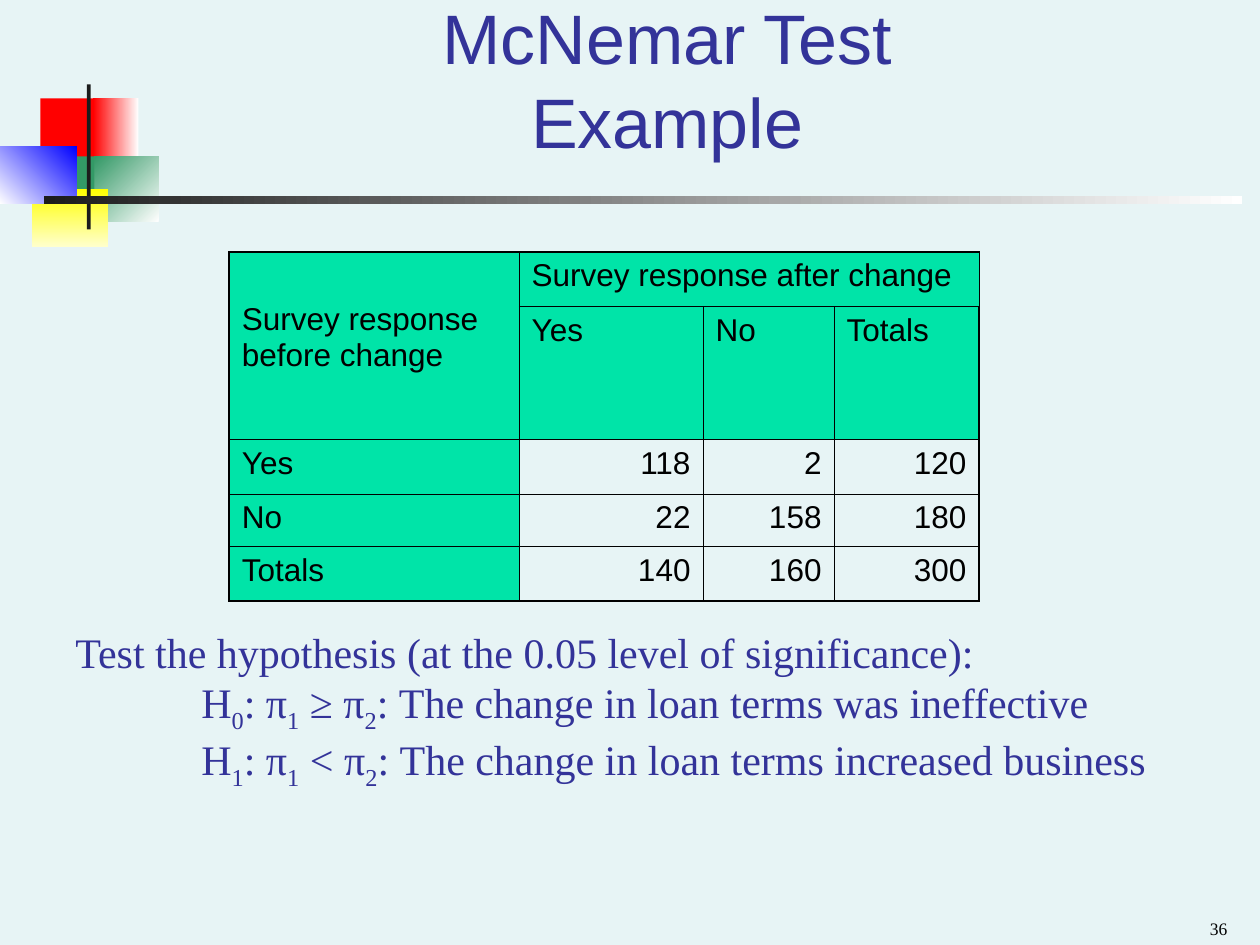
from lxml import etree
from pptx import Presentation
from pptx import util as u
from pptx.dml import color
from pptx.enum import shapes, text
from pptx.oxml import ns

HUES = {
    "back": "E7F4F5", "ink": "333399", "black": "000000", "white": "FFFFFF",
    "red": "FF0000", "green": "339966", "gold": "FFFF00", "cream": "FFFFCC",
    "blue": "0000FF", "dark": "1C1C1C", "mint": "00E4A8",
}
ALIGN = {"l": text.PP_ALIGN.LEFT, "c": text.PP_ALIGN.CENTER, "r": text.PP_ALIGN.RIGHT}
THIN, THICK = 0.45, 1.08


def rgb(name):
    return color.RGBColor.from_string(HUES[name])


def write(frame, words, size=18, font="Arial", hue="black", align="l", tab=None):
    """Fill a frame, one paragraph a line; text between underscores is subscript."""
    frame.word_wrap = True
    for i, line in enumerate(words.split("\n")):
        para = frame.paragraphs[0] if i == 0 else frame.add_paragraph()
        para.alignment = ALIGN[align]
        if tab:
            tabs = etree.SubElement(para._p.get_or_add_pPr(), ns.qn("a:tabLst"))
            etree.SubElement(tabs, ns.qn("a:tab"), pos=str(u.Inches(tab)), algn="l")
        for j, part in enumerate(line.split("_")):
            run = para.add_run()
            run.text = part
            run.font.size = u.Pt(size)
            run.font.name = font
            run.font.color.rgb = rgb(hue)
            if j % 2:
                run.font._element.set("baseline", "-25000")


class Deck:
    serif = "Times New Roman"

    def __init__(self):
        self.pres = Presentation()
        self.pres.slide_width, self.pres.slide_height = u.Inches(10), u.Inches(7.5)
        self.slide = self.pres.slides.add_slide(self.pres.slide_layouts[6])
        fill = self.slide.background.fill
        fill.solid()
        fill.fore_color.rgb = rgb("back")

    def block(self, box, hues, angle=0):
        """Draw a plain rectangle, or one that fades between two hues."""
        rect = self.slide.shapes.add_shape(
            shapes.MSO_SHAPE.RECTANGLE, *map(u.Inches, box))
        rect.shadow.inherit = False
        rect.line.fill.background()
        if len(hues) == 1:
            rect.fill.solid()
            rect.fill.fore_color.rgb = rgb(hues[0])
            return
        rect.fill.gradient()
        rect.fill.gradient_angle = angle
        for stop, hue in zip(rect.fill.gradient_stops, hues):
            stop.color.rgb = rgb(hue)

    def label(self, box, words, low=False, **style):
        frame = self.slide.shapes.add_textbox(*map(u.Inches, box)).text_frame
        if low:
            frame.vertical_anchor = text.MSO_ANCHOR.BOTTOM
        write(frame, words, **style)

    def edge(self, cell, side, width):
        line = etree.SubElement(
            cell._tc.get_or_add_tcPr(), ns.qn(f"a:ln{side}"), w=str(u.Pt(width)))
        fill = etree.SubElement(line, ns.qn("a:solidFill"))
        etree.SubElement(fill, ns.qn("a:srgbClr"), val=HUES["black"])

    def table(self, box, cols, rows, data, spans):
        """Draw a table whose first two rows and first column are headings."""
        grid = self.slide.shapes.add_table(
            len(rows), len(cols), *map(u.Inches, box)).table
        grid.first_row = grid.horz_banding = False
        for part, size in zip([*grid.columns], cols):
            part.width = u.Inches(size)
        for part, size in zip([*grid.rows], rows):
            part.height = u.Inches(size)
        for r, line in enumerate(data):
            for c, words in enumerate(line):
                cell = grid.cell(r, c)
                outer = {"L": c == 0, "R": c == len(cols) - 1,
                         "T": r == 0, "B": r == len(rows) - 1}
                for side, out in outer.items():
                    self.edge(cell, side, THICK if out else THIN)
                head = r < 2 or c == 0
                if head:
                    cell.fill.solid()
                    cell.fill.fore_color.rgb = rgb("mint")
                else:
                    cell.fill.background()
                if words:
                    write(cell.text_frame, words, align="l" if head else "r")
        for start, end in spans:
            grid.cell(*start).merge(grid.cell(*end))
        return grid


def main():
    deck = Deck()

    # Corner ornament and rule
    for box, hues, angle in [
        ((0.32, 0.78, 0.48, 0.52), ["red"], 0),
        ((0.74, 0.78, 0.36, 0.52), ["white", "red"], 180),
        ((0.75, 1.24, 0.51, 0.52), ["white", "green"], 135),
        ((0.43, 1.24, 0.32, 0.52), ["green"], 0),
        ((0.25, 1.5, 0.61, 0.46), ["gold", "cream"], 270),
        ((0, 1.16, 0.61, 0.46), ["blue", "white"], 225),
        ((0.69, 0.67, 0.03, 1.15), ["dark"], 0),
        ((0.35, 1.56, 9.51, 0.06), ["white", "dark"], 180),
    ]:
        deck.block(box, hues, angle)

    # Title
    deck.label((1.26, 0.26, 8.07, 1.08), "McNemar Test\nExample", low=True,
               size=40, hue="ink", align="c")

    # Survey table
    grid = deck.table(
        (1.82, 2, 5.95, 2.78), [2.3, 1.46, 1.04, 1.15],
        [0.43, 1.06, 0.43, 0.42, 0.43],
        [["Survey response before change", "Survey response after change", "", ""],
         ["", "Yes", "No", "Totals"],
         ["Yes", "118", "2", "120"],
         ["No", "22", "158", "180"],
         ["Totals", "140", "160", "300"]],
        [((0, 0), (1, 0)), ((0, 1), (0, 3))])
    grid.cell(0, 0).margin_top = u.Inches(0.4)

    # Hypotheses
    deck.label(
        (0.5, 4.92, 9.17, 1.41),
        "Test the hypothesis (at the 0.05 level of significance):\n"
        "\tH_0_: π_1_ ≥ π_2_: The change in loan terms was ineffective\n"
        "\tH_1_: π_1_ < π_2_: The change in loan terms increased business",
        size=24, font=deck.serif, hue="ink", tab=1)

    # Page number
    deck.label((7.51, 7.15, 2.33, 0.35), "36", low=True,
               size=10, font=deck.serif, align="r")

    deck.pres.save("out.pptx")


if __name__ == "__main__":
    main()
